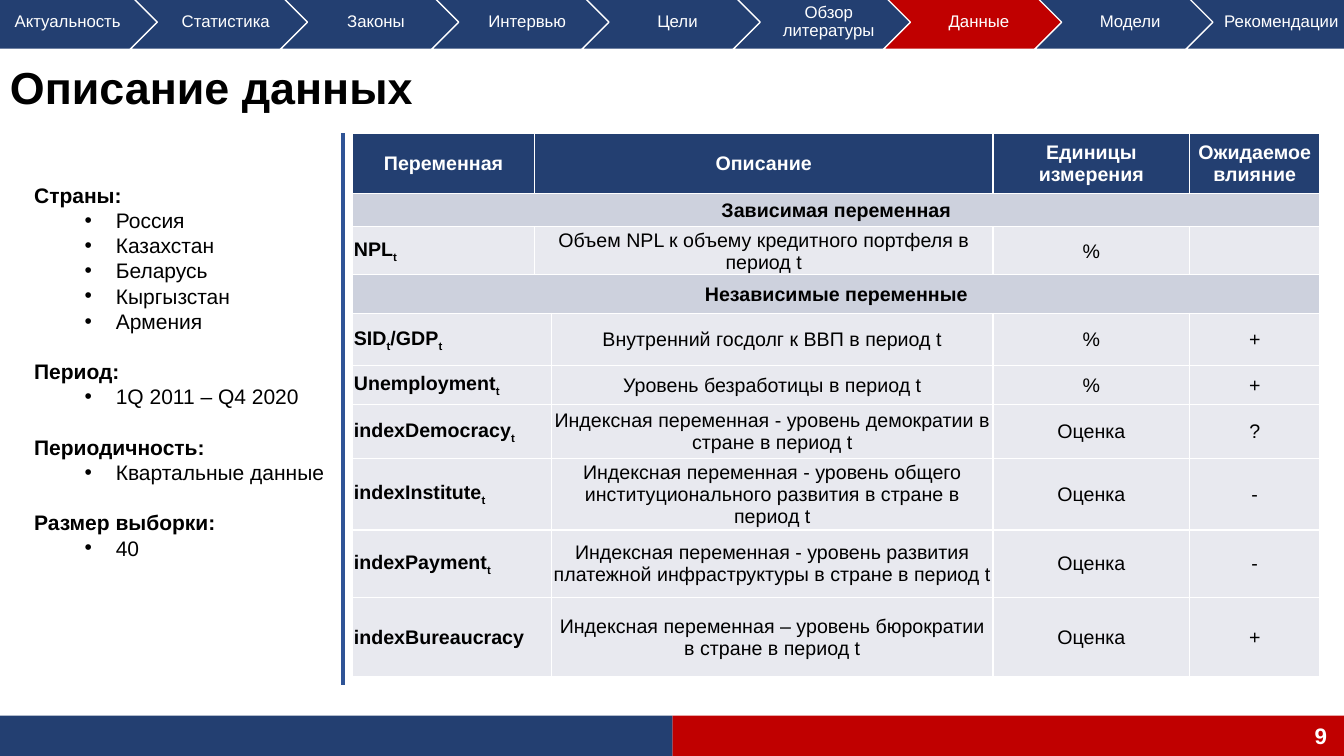
import pptx
import pptx.util
import pptx.dml.color
import pptx.enum.shapes
import pptx.enum.text
import pptx.oxml
import pptx.oxml.ns

PX = 9144
NAVY = pptx.dml.color.RGBColor(0x23, 0x3F, 0x71)
RED = pptx.dml.color.RGBColor(0xC0, 0x00, 0x00)
BLUE = pptx.dml.color.RGBColor(0x2F, 0x54, 0x96)
BAND = pptx.dml.color.RGBColor(0xCD, 0xD1, 0xDD)
PALE = pptx.dml.color.RGBColor(0xE8, 0xE9, 0xEF)
WHITE = pptx.dml.color.RGBColor(0xFF, 0xFF, 0xFF)
BLACK = pptx.dml.color.RGBColor(0x00, 0x00, 0x00)
LEFT = pptx.enum.text.PP_ALIGN.LEFT
CENTER = pptx.enum.text.PP_ALIGN.CENTER
RIGHT = pptx.enum.text.PP_ALIGN.RIGHT
MIDDLE = pptx.enum.text.MSO_ANCHOR.MIDDLE
TOP = pptx.enum.text.MSO_ANCHOR.TOP
PRESET = pptx.enum.shapes.MSO_SHAPE

SECTIONS = ["Актуальность", "Статистика", "Законы", "Интервью", "Цели",
            "Обзор литературы", "Данные", "Модели", "Рекомендации"]
CURRENT_SECTION = "Данные"

FACTS = [
    ("Страны:", ["Россия", "Казахстан", "Беларусь", "Кыргызстан", "Армения"]),
    ("Период:", ["1Q 2011 – Q4 2020"]),
    ("Периодичность:", ["Квартальные данные"]),
    ("Размер выборки:", ["40"]),
]

COLUMN_WIDTHS = [180, 17, 438, 195, 129]
ROW_HEIGHTS = [60, 33, 38, 38, 52, 39, 53, 66, 67, 79]
HEADER = ("Переменная", "Описание", "Единицы измерения", "Ожидаемое влияние")
DEPENDENT = ("NPL{t}", "Объем NPL к объему кредитного портфеля в период t", "%", "")
INDEPENDENT = [
    ("SID{t}/GDP{t}", "Внутренний госдолг к ВВП в период t", "%", "+"),
    ("Unemployment{t}", "Уровень безработицы в период t", "%", "+"),
    ("indexDemocracy{t}",
     "Индексная переменная - уровень демократии в стране в период t", "Оценка", "?"),
    ("indexInstitute{t}",
     "Индексная переменная - уровень общего институционального развития в стране в период t",
     "Оценка", "-"),
    ("indexPayment{t}",
     "Индексная переменная - уровень развития платежной инфраструктуры в стране в период t",
     "Оценка", "-"),
    ("indexBureaucracy",
     "Индексная переменная – уровень бюрократии в стране в период t", "Оценка", "+"),
]


def px(*lengths):
    return [pptx.util.Emu(length * PX) for length in lengths]


def write(paragraph, text, size=14, bold=False, color=BLACK, align=LEFT, spacing=None):
    paragraph.alignment = align
    if spacing:
        paragraph.line_spacing = spacing
    for index, part in enumerate(text.replace("{", "}").split("}")):
        if not part:
            continue
        run = paragraph.add_run()
        run.text = part
        run.font.name = "Arial"
        run.font.size = pptx.util.Pt(size)
        run.font.bold = bold
        run.font.color.rgb = color
        if index % 2:
            run._r.get_or_add_rPr().set("baseline", "-25000")


def add_block(shapes, preset, box, fill, outlined=False):
    block = shapes.add_shape(preset, *px(*box))
    block.shadow.inherit = False
    block.fill.solid()
    block.fill.fore_color.rgb = fill
    if outlined:
        block.line.color.rgb = WHITE
        block.line.width = pptx.util.Pt(1)
    else:
        block.line.fill.background()
    return block


def add_text_frame(shapes, box, anchor):
    frame = shapes.add_textbox(*px(*box)).text_frame
    frame.word_wrap = True
    frame.vertical_anchor = anchor
    return frame


def add_navigation(shapes):
    navigation = shapes.add_group_shape().shapes
    for index, section in enumerate(SECTIONS):
        first = index == 0
        preset = PRESET.PENTAGON if first else PRESET.CHEVRON
        left = -22 if first else 129 + 1047 * (index - 1) // 7
        fill = RED if section == CURRENT_SECTION else NAVY
        step = add_block(navigation, preset, (left, -5, 187, 54), fill, outlined=True)
        frame = step.text_frame
        frame.word_wrap = True
        frame.vertical_anchor = MIDDLE
        frame.margin_left, frame.margin_top, frame.margin_right, frame.margin_bottom = px(
            7 if first else 5, 4, 2, 4)
        write(frame.paragraphs[0], section, size=12, color=WHITE, align=CENTER, spacing=0.9)


def add_bullet(paragraph):
    properties = paragraph._p.get_or_add_pPr()
    properties.set("marL", str(81 * PX))
    properties.set("indent", str(-31 * PX))
    namespace = pptx.oxml.ns.nsdecls("a")
    properties.append(pptx.oxml.parse_xml(f'<a:buFont {namespace} typeface="Arial"/>'))
    properties.append(pptx.oxml.parse_xml(f'<a:buChar {namespace} char="•"/>'))


def add_facts(shapes):
    frame = add_text_frame(shapes, (24, 176, 341, 389), TOP)
    line = pptx.util.Pt(18)
    for index, (heading, items) in enumerate(FACTS):
        paragraph = frame.add_paragraph() if index else frame.paragraphs[0]
        write(paragraph, heading, size=15, bold=True, spacing=line)
        if index:
            paragraph.space_before = line
        for item in items:
            paragraph = frame.add_paragraph()
            paragraph.level = 1
            write(paragraph, item, size=15, spacing=line)
            add_bullet(paragraph)


def format_cell(cell, fill):
    cell.vertical_anchor = MIDDLE
    cell.margin_left, cell.margin_top, cell.margin_right, cell.margin_bottom = px(1, 1, 1, 0)
    properties = cell._tc.get_or_add_tcPr()
    for side in ("lnL", "lnR", "lnT", "lnB"):
        properties.append(pptx.oxml.parse_xml(
            f'<a:{side} {pptx.oxml.ns.nsdecls("a")} w="12700"><a:solidFill>'
            f'<a:srgbClr val="{WHITE}"/></a:solidFill></a:{side}>'))
    cell.fill.solid()
    cell.fill.fore_color.rgb = fill


def fill_row(table, row, texts, starts, fill, header=False):
    ends = starts[1:] + [len(COLUMN_WIDTHS)]
    for column in range(len(COLUMN_WIDTHS)):
        format_cell(table.cell(row, column), fill)
    for text, start, end in zip(texts, starts, ends):
        cell = table.cell(row, start)
        if end - start > 1:
            cell.merge(table.cell(row, end - 1))
        write(cell.text_frame.paragraphs[0], text, bold=header or start == 0,
              color=WHITE if fill == NAVY else BLACK,
              align=CENTER if header or start else LEFT)


def add_variables(shapes):
    table = shapes.add_table(len(ROW_HEIGHTS), len(COLUMN_WIDTHS),
                             *px(350, 132, sum(COLUMN_WIDTHS), sum(ROW_HEIGHTS))).table
    for column, width in zip(table.columns, px(*COLUMN_WIDTHS)):
        column.width = width
    for row, height in zip(table.rows, px(*ROW_HEIGHTS)):
        row.height = height
    narrow, wide = [0, 1, 3, 4], [0, 2, 3, 4]
    fill_row(table, 0, HEADER, narrow, NAVY, header=True)
    fill_row(table, 1, ["Зависимая переменная"], [0], BAND, header=True)
    fill_row(table, 2, DEPENDENT, narrow, PALE)
    fill_row(table, 3, ["Независимые переменные"], [0], BAND, header=True)
    for row, variable in enumerate(INDEPENDENT, start=4):
        fill_row(table, row, variable, wide, PALE)


def add_divider(shapes):
    divider = shapes.add_connector(pptx.enum.shapes.MSO_CONNECTOR.STRAIGHT,
                                   *px(340, 132, 340, 680))
    divider.line.color.rgb = BLUE
    divider.line.width = pptx.util.Pt(3)
    divider._element.spPr.append(
        pptx.oxml.parse_xml(f'<a:effectLst {pptx.oxml.ns.nsdecls("a")}/>'))


def main():
    deck = pptx.Presentation()
    deck.slide_width, deck.slide_height = px(1333, 750)
    shapes = deck.slides.add_slide(deck.slide_layouts[6]).shapes
    add_block(shapes, PRESET.RECTANGLE, (667, 710, 667, 40), RED)
    add_block(shapes, PRESET.RECTANGLE, (0, 710, 667, 40), NAVY)
    page = add_text_frame(shapes, (1026, 710, 300, 40), MIDDLE)
    write(page.paragraphs[0], "9", size=16, bold=True, color=WHITE, align=RIGHT)
    title = add_text_frame(shapes, (0, 53, 1333, 72), MIDDLE)
    write(title.paragraphs[0], "Описание данных", size=32, bold=True, spacing=0.9)
    add_variables(shapes)
    add_facts(shapes)
    add_divider(shapes)
    add_navigation(shapes)
    deck.save("out.pptx")


if __name__ == "__main__":
    main()
